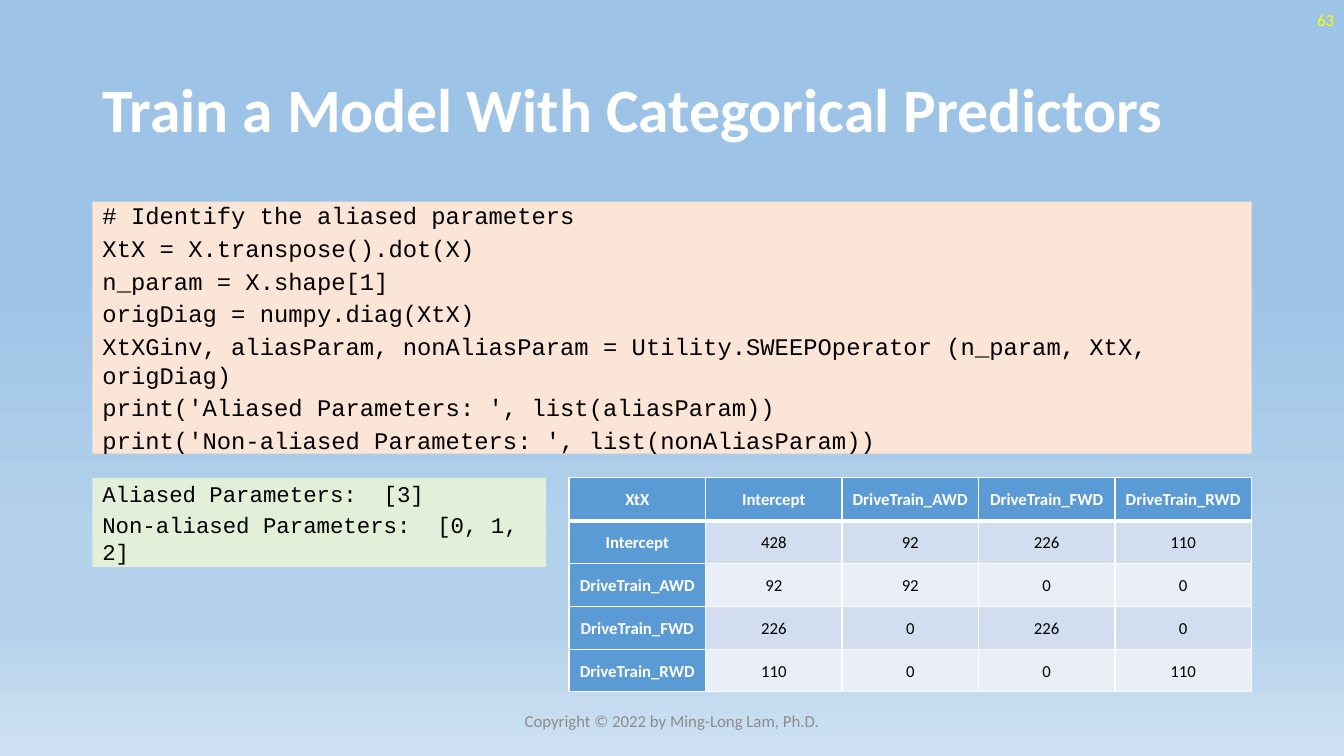
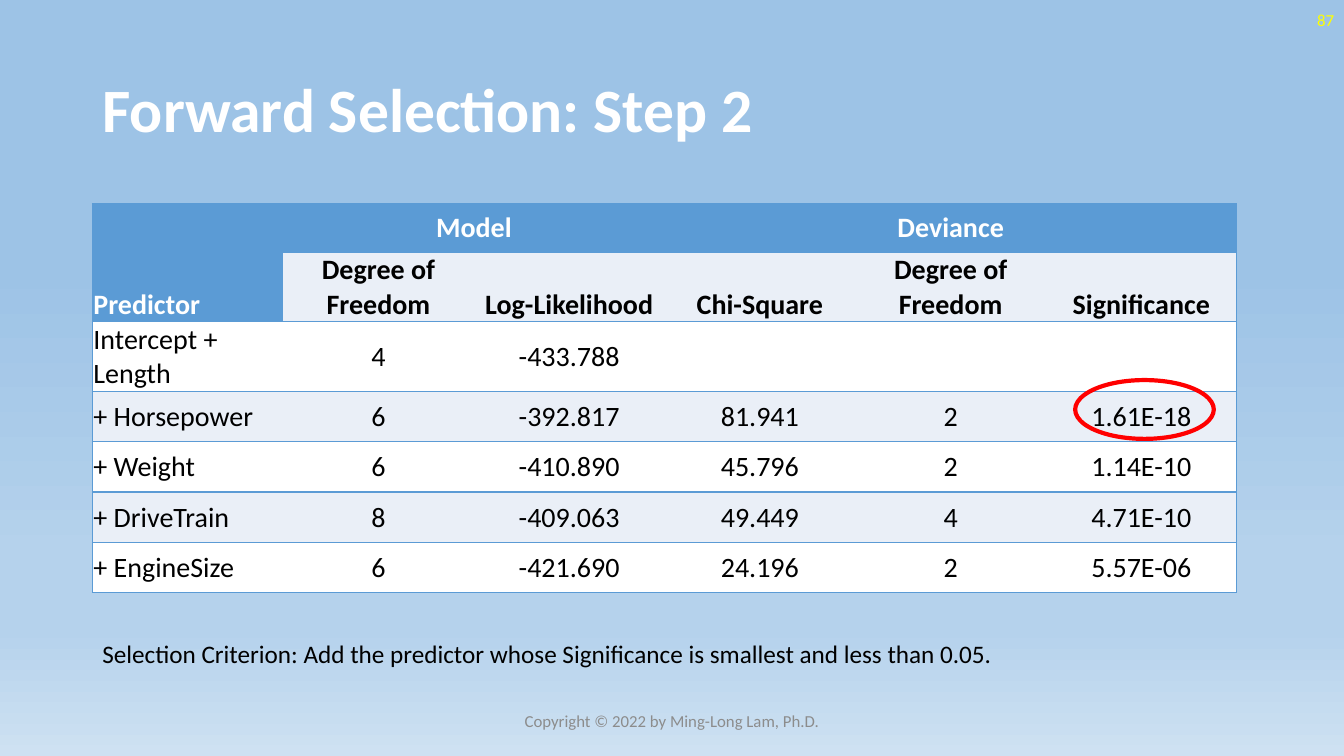
from dataclasses import dataclass
from typing import Optional

from lxml.etree import SubElement
from pptx import Presentation
from pptx.dml.color import RGBColor
from pptx.enum.shapes import MSO_SHAPE
from pptx.enum.text import MSO_ANCHOR as Anchor, MSO_AUTO_SIZE as AutoSize, PP_ALIGN as Align
from pptx.oxml.ns import qn
from pptx.util import Emu, Pt

# Palette and fonts
WHITE = RGBColor(0xFF, 0xFF, 0xFF)
BLACK = RGBColor(0x00, 0x00, 0x00)
YELLOW = RGBColor(0xFF, 0xFF, 0x00)
RED = RGBColor(0xFF, 0x00, 0x00)
GREY = RGBColor(0x8C, 0x8C, 0x8C)
BLUE = RGBColor(0x5B, 0x9B, 0xD5)
BAND = RGBColor(0xD2, 0xDE, 0xEF)
PALE_BAND = RGBColor(0xEA, 0xEF, 0xF7)
PEACH = RGBColor(0xFB, 0xE5, 0xD6)
MINT = RGBColor(0xE2, 0xF0, 0xD9)
SKY = RGBColor(0x9D, 0xC3, 0xE6)
MID_SKY = RGBColor(0xB5, 0xD2, 0xEC)
LOW_SKY = RGBColor(0xCE, 0xE1, 0xF2)
BACKDROP = ((35, SKY), (74, MID_SKY), (83, MID_SKY), (100, LOW_SKY))
SANS, MONO = "Calibri", "Courier New"

COPYRIGHT = "Copyright © 2022 by Ming-Long Lam, Ph.D."
CODE = (
    "# Identify the aliased parameters",
    "XtX = X.transpose().dot(X)",
    "n_param = X.shape[1]",
    "origDiag = numpy.diag(XtX)",
    "XtXGinv, aliasParam, nonAliasParam = Utility.SWEEPOperator (n_param, XtX, origDiag)",
    "print('Aliased Parameters: ', list(aliasParam))",
    "print('Non-aliased Parameters: ', list(nonAliasParam))",
)
OUTPUT = ("Aliased Parameters:  [3]", "Non-aliased Parameters:  [0, 1, 2]")


def px(n: int) -> Emu:
    return Emu(n * 9525)


@dataclass(frozen=True)
class Box:
    x: int
    y: int
    w: int
    h: int

    def emu(self) -> tuple:
        return px(self.x), px(self.y), px(self.w), px(self.h)


@dataclass(frozen=True)
class Style:
    size: int
    color: RGBColor = BLACK
    font: str = SANS
    bold: bool = False
    align: Align = Align.LEFT
    line: float = 1.0
    before: int = 0


@dataclass(frozen=True)
class Grid:
    box: Box
    rows: tuple
    heights: tuple
    size: int
    bands: tuple  # fills of even and odd rows
    rule: RGBColor
    header_rows: int = 1
    header_column: bool = False
    inner_verticals: bool = False
    header_rule: int = 1
    first_align: Align = Align.CENTER
    merges: tuple = ()


TITLE = Style(44, WHITE, bold=True, line=0.9)
NUMBER = Style(12, YELLOW, align=Align.RIGHT)
FOOTER = Style(12, GREY, align=Align.CENTER)
TITLE_BOX = Box(88, 38, 1104, 139)
NUMBER_BOX = Box(992, 0, 288, 38)
FOOTER_BOX = Box(424, 667, 432, 38)

LEVELS = ("Intercept", "DriveTrain_AWD", "DriveTrain_FWD", "DriveTrain_RWD")
COUNTS = (("428", "92", "226", "110"), ("92", "92", "0", "0"),
          ("226", "0", "226", "0"), ("110", "0", "0", "110"))
CROSS_PRODUCT = Grid(
    Box(542, 455, 650, 204),
    (("XtX", *LEVELS), *((name, *row) for name, row in zip(LEVELS, COUNTS))),
    heights=(41, 41, 41, 41, 40), size=12, bands=(PALE_BAND, BAND), rule=WHITE,
    header_column=True, inner_verticals=True, header_rule=3,
)
SELECTION = Grid(
    Box(88, 194, 1090, 334),
    (
        ("Predictor", "Model", "", "Deviance", "", ""),
        ("", "Degree of Freedom", "Log-Likelihood", "Chi-Square", "Degree of Freedom", "Significance"),
        ("Intercept + Length", "4", "-433.788", "", "", ""),
        ("+ Horsepower", "6", "-392.817", "81.941", "2", "1.61E-18"),
        ("+ Weight", "6", "-410.890", "45.796", "2", "1.14E-10"),
        ("+ DriveTrain", "8", "-409.063", "49.449", "4", "4.71E-10"),
        ("+ EngineSize", "6", "-421.690", "24.196", "2", "5.57E-06"),
    ),
    heights=(46, *[48] * 6), size=20, bands=(WHITE, PALE_BAND), rule=BLUE,
    header_rows=2, first_align=Align.LEFT,
    merges=(((0, 0), (1, 0)), ((0, 1), (0, 2)), ((0, 3), (0, 5))),
)


# Text and shapes
def set_all(obj, values: dict) -> None:
    for name, value in values.items():
        setattr(obj, name, value)


def write(tf, lines: tuple, style: Style) -> None:
    for i, line in enumerate(lines):
        p = tf.paragraphs[0] if i == 0 else tf.add_paragraph()
        set_all(p, {"alignment": style.align, "line_spacing": style.line,
                    "space_before": Pt(style.before if i else 0)})
        r = p.add_run()
        r.text = line
        set_all(r.font, {"size": Pt(style.size), "name": style.font, "bold": style.bold})
        r.font.color.rgb = style.color


def fill_box(sp, box: Box, lines: tuple, style: Style, fill: Optional[RGBColor] = None,
             anchor: Anchor = Anchor.MIDDLE) -> None:
    set_all(sp, dict(zip(("left", "top", "width", "height"), box.emu())))
    tf = sp.text_frame
    set_all(tf, {"word_wrap": True, "auto_size": AutoSize.NONE, "vertical_anchor": anchor})
    if fill is not None:
        sp.fill.solid()
        sp.fill.fore_color.rgb = fill
    write(tf, lines, style)


def add_text(s, box: Box, lines: tuple, style: Style, **options) -> None:
    fill_box(s.shapes.add_textbox(*box.emu()), box, lines, style, **options)


def clear_bullets(tf) -> None:
    for p in tf.paragraphs:
        pPr = p._p.get_or_add_pPr()
        pPr.set("marL", "0")
        pPr.set("indent", "0")
        SubElement(pPr, qn("a:buNone"))


# Tables
def set_borders(cell, edges: dict) -> None:
    tcPr = cell._tc.get_or_add_tcPr()
    for i, side in enumerate("LRTB"):
        ln = SubElement(tcPr, qn(f"a:ln{side}"))
        tcPr.insert(i, ln)
        if side in edges:
            width, color = edges[side]
            ln.set("w", str(Pt(width)))
            fill = SubElement(ln, qn("a:solidFill"))
            SubElement(fill, qn("a:srgbClr")).set("val", str(color))
        else:
            ln.set("w", "0")
            SubElement(ln, qn("a:noFill"))


def cell_edges(grid: Grid, r: int, c: int) -> dict:
    last = len(grid.rows[0]) - 1
    edges = {side: (1, grid.rule) for side in "TB"}
    if c == 0 or grid.inner_verticals:
        edges["L"] = (1, grid.rule)
    if c == last or grid.inner_verticals:
        edges["R"] = (1, grid.rule)
    if r == grid.header_rows - 1:
        edges["B"] = (grid.header_rule, grid.rule)
    elif r == grid.header_rows:
        edges["T"] = (grid.header_rule, grid.rule)
    return edges


def add_grid(s, grid: Grid) -> None:
    n_rows, n_cols = len(grid.rows), len(grid.rows[0])
    tbl = s.shapes.add_table(n_rows, n_cols, *grid.box.emu()).table
    for col in tbl.columns:
        col.width = px(grid.box.w) // n_cols
    for row, height in zip(tbl.rows, grid.heights):
        row.height = px(height)
    for start, end in grid.merges:
        tbl.cell(*start).merge(tbl.cell(*end))
    for r, row in enumerate(grid.rows):
        for c, text in enumerate(row):
            cell = tbl.cell(r, c)
            header = r == 0 or (c == 0 and (grid.header_column or r < grid.header_rows))
            at_bottom = grid.header_rows > 1 and r + cell.span_height == grid.header_rows
            set_all(cell, {"margin_left": px(1), "margin_right": px(1), "margin_top": px(1),
                           "margin_bottom": 0,
                           "vertical_anchor": Anchor.BOTTOM if at_bottom else Anchor.MIDDLE})
            set_borders(cell, cell_edges(grid, r, c))
            cell.fill.solid()
            cell.fill.fore_color.rgb = BLUE if header else grid.bands[r % 2]
            if text:
                write(cell.text_frame, (text,), Style(
                    grid.size, WHITE if header else BLACK,
                    bold=header or r < grid.header_rows,
                    align=grid.first_align if c == 0 else Align.CENTER))


# Shared slide parts
def set_backdrop(prs) -> None:
    fill = prs.slide_master.background.fill
    fill.gradient()
    fill.gradient_angle = 270
    stops = next(prs.slide_master.element.iter(qn("a:gsLst")))
    for stop in list(stops):
        stops.remove(stop)
    for percent, color in BACKDROP:
        stop = SubElement(stops, qn("a:gs"))
        stop.set("pos", str(percent * 1000))
        SubElement(stop, qn("a:srgbClr")).set("val", str(color))


def new_slide(prs, layout: str, title: str, number: int):
    s = prs.slides.add_slide(prs.slide_layouts.get_by_name(layout))
    fill_box(s.shapes.title, TITLE_BOX, (title,), TITLE)
    add_text(s, NUMBER_BOX, (str(number),), NUMBER)
    add_text(s, FOOTER_BOX, (COPYRIGHT,), FOOTER)
    return s


# Slides
def categorical_slide(prs) -> None:
    s = new_slide(prs, "Title and Content", "Train a Model With Categorical Predictors", 63)
    body = s.placeholders[1]
    fill_box(body, Box(88, 192, 1104, 240), CODE, Style(17, font=MONO, before=3), fill=PEACH)
    clear_bullets(body.text_frame)
    add_text(s, Box(88, 455, 432, 85), OUTPUT, Style(16, font=MONO, before=3), fill=MINT)
    add_grid(s, CROSS_PRODUCT)


def selection_slide(prs) -> None:
    s = new_slide(prs, "Title Only", "Forward Selection: Step 2", 87)
    add_grid(s, SELECTION)
    add_text(s, Box(88, 603, 1092, 38),
             ("Selection Criterion: Add the predictor whose Significance is smallest and less than 0.05.",),
             Style(18), anchor=Anchor.TOP)
    ring = s.shapes.add_shape(MSO_SHAPE.OVAL, *Box(1024, 362, 132, 56).emu())
    ring.shadow.inherit = False
    ring.fill.background()
    ring.line.color.rgb = RED
    ring.line.width = Pt(3)


def main() -> None:
    prs = Presentation()
    set_all(prs, {"slide_width": px(1280), "slide_height": px(720)})
    set_backdrop(prs)
    categorical_slide(prs)
    selection_slide(prs)
    prs.save("out.pptx")


if __name__ == "__main__":
    main()
